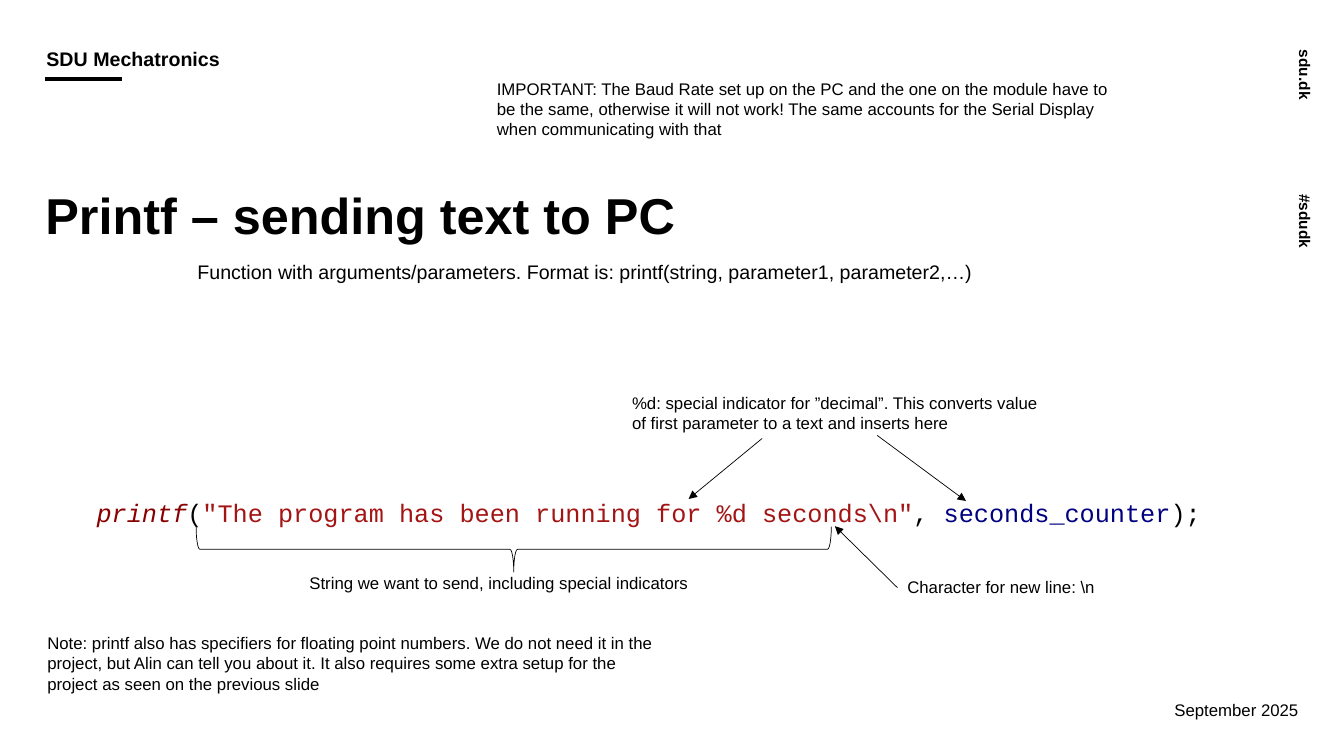
import pptx
import pptx.util
import pptx.dml.color
import pptx.enum.shapes
import pptx.enum.text
from dataclasses import dataclass
from lxml import etree


@dataclass(frozen=True)
class Theme:
    sans: str = "Arial"
    mono: str = "Courier New"
    ink: str = "000000"
    function: str = "880000"
    string: str = "A31515"
    variable: str = "000080"
    title: int = 36
    code: int = 18
    lead: int = 14
    body: int = 12
    edge: int = 11
    thin: float = 0.5
    thick: float = 3


THEME = Theme()
WIDTH, HEIGHT = 13.33, 7.5

# Places are percentages of the slide: left, top, width, height.
MARGIN = 3.38
TITLE = ("Printf – sending text to PC", (MARGIN, 24.8, 51.46, 15.2))
DEPARTMENT = ("SDU Mechatronics", (MARGIN, 6.53, 46.66, 4.13))
DATE = ("September 2025", (75.09, 92.53, 21.53, 2.67))
EDGE_LABELS = [
    ("sdu.dk", (94.22, 10.53, 7.5, 5.47)),
    ("#sdudk", (94.22, 29.6, 7.5, 5.47)),
]
SYNTAX = ("Function with arguments/parameters. Format is: "
          "printf(string, parameter1, parameter2,…)", (13.95, 33.73, 64.67, 4.53))
CODE_PLACE = (6.45, 65.07, 87.17, 5.33)
CODE = [
    ("printf", THEME.function),
    ("(", THEME.ink),
    ('"The program has been running for %d seconds\\n"', THEME.string),
    (", ", THEME.ink),
    ("seconds_counter", THEME.variable),
    (");", THEME.ink),
]
REMARKS = [
    ("String we want to send, including special indicators", (22.28, 75.07, 31.73, 4)),
    ("%d: special indicator for ”decimal”. This converts value of first parameter "
     "to a text and inserts here", (46.29, 51.33, 31.73, 6.67)),
    ("Character for new line: \\n", (66.77, 75.6, 16.8, 4)),
    ("Note: printf also has specifiers for floating point numbers. We do not need it "
     "in the project, but Alin can tell you about it. It also requires some extra "
     "setup for the project as seen on the previous slide", (2.78, 83.07, 47.26, 9.47)),
    ("IMPORTANT: The Baud Rate set up on the PC and the one on the module have to be "
     "the same, otherwise it will not work! The same accounts for the Serial Display "
     "when communicating with that", (36.23, 9.73, 47.26, 9.47)),
]
STRING_BRACE = (36.53, 30.67, 3.38, 84)  # before its quarter turn
DEPARTMENT_RULE = ((MARGIN, 10.4), (9.08, 10.4))
ARROWS = [
    ((56.71, 58), (51.24, 66)),
    ((65.27, 57.6), (71.87, 66.27)),
    ((66.77, 77.73), (62.12, 69.6)),
]
TEXT_INSETS = (0.1, 0.05, 0.1, 0.05)
NO_INSETS = (0, 0, 0, 0)
ANCHOR = pptx.enum.text.MSO_ANCHOR


def point(x, y):
    return pptx.util.Inches(WIDTH * x / 100), pptx.util.Inches(HEIGHT * y / 100)


def area(place):
    return point(*place[:2]) + point(*place[2:])


def rgb(code):
    return pptx.dml.color.RGBColor.from_string(code)


def add_text(slide, text, place, size=THEME.body, bold=False, insets=TEXT_INSETS,
             anchor=ANCHOR.TOP, spacing=None):
    """Add a one-paragraph box; text is a string or a list of (words, colour)."""
    box = slide.shapes.add_textbox(*area(place))
    frame = box.text_frame
    frame.word_wrap = True
    frame.vertical_anchor = anchor
    (frame.margin_left, frame.margin_top,
     frame.margin_right, frame.margin_bottom) = map(pptx.util.Inches, insets)
    paragraph = frame.paragraphs[0]
    if spacing:
        paragraph.line_spacing = spacing
    for words, colour in [(text, THEME.ink)] if isinstance(text, str) else text:
        run = paragraph.add_run()
        run.text = words
        run.font.name = THEME.sans
        run.font.size = pptx.util.Pt(size)
        run.font.bold = bold
        run.font.color.rgb = rgb(colour)
    return box


def add_line(slide, ends, weight=THEME.thin, arrow=False):
    start, end = ends
    line = slide.shapes.add_connector(
        pptx.enum.shapes.MSO_CONNECTOR.STRAIGHT, *point(*start), *point(*end))
    line.line.color.rgb = rgb(THEME.ink)
    line.line.width = pptx.util.Pt(weight)
    properties = line._element.spPr
    if arrow:
        head = etree.SubElement(line.line._get_or_add_ln(),
                                pptx.oxml.ns.qn("a:tailEnd"))
        head.set("type", "triangle")
    etree.SubElement(properties, pptx.oxml.ns.qn("a:effectLst"))


def add_brace(slide):
    brace = slide.shapes.add_shape(
        pptx.enum.shapes.MSO_SHAPE.RIGHT_BRACE, *area(STRING_BRACE))
    brace.rotation = 90
    brace.shadow.inherit = False
    brace.fill.background()
    brace.line.color.rgb = rgb(THEME.ink)
    brace.line.width = pptx.util.Pt(THEME.thin)


def add_code(slide):
    box = add_text(slide, CODE, CODE_PLACE, THEME.code)
    runs = box.text_frame.paragraphs[0].runs
    for run in runs:
        run.font.name = THEME.mono
    runs[0].font.italic = True


def main():
    deck = pptx.Presentation()
    deck.slide_width, deck.slide_height = point(100, 100)
    slide = deck.slides.add_slide(deck.slide_layouts[6])

    for label, place in EDGE_LABELS:
        add_text(slide, label, place, THEME.edge, True, NO_INSETS,
                 ANCHOR.BOTTOM).rotation = 90
    add_line(slide, DEPARTMENT_RULE, THEME.thick)
    date = add_text(slide, *DATE, insets=NO_INSETS)
    date.text_frame.paragraphs[0].alignment = pptx.enum.text.PP_ALIGN.RIGHT
    add_text(slide, *DEPARTMENT, THEME.lead, True, (0.01, 0, 0, 0.1),
             ANCHOR.BOTTOM, 0.9)
    add_text(slide, *TITLE, THEME.title, True, NO_INSETS, spacing=0.97)

    add_code(slide)
    add_text(slide, *SYNTAX, THEME.lead)
    add_brace(slide)
    for remark, place in REMARKS:
        add_text(slide, remark, place)
    for ends in ARROWS:
        add_line(slide, ends, arrow=True)

    deck.save("out.pptx")


if __name__ == "__main__":
    main()
